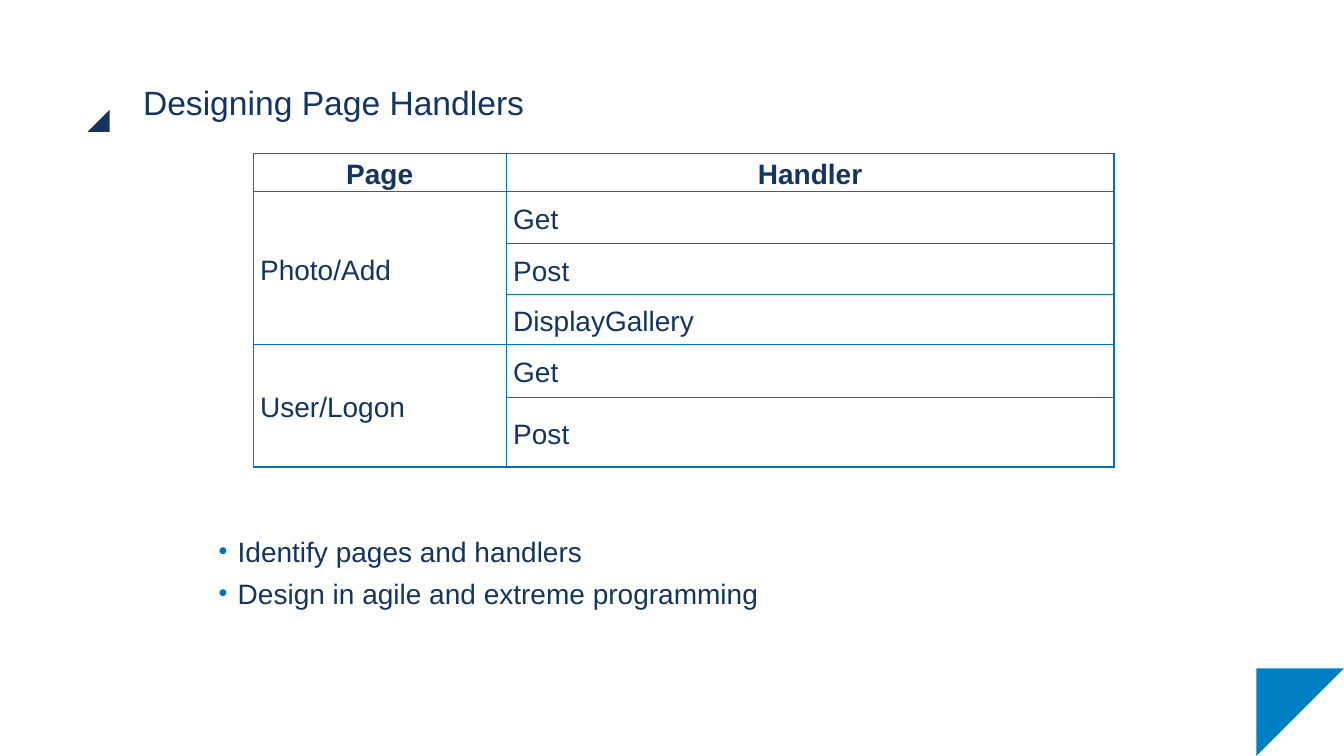
from lxml import etree
from pptx import Presentation
from pptx.dml.color import RGBColor
from pptx.enum.shapes import MSO_SHAPE
from pptx.enum.text import MSO_ANCHOR, PP_ALIGN
from pptx.oxml.ns import qn
from pptx.util import Pt

TRIANGLE = MSO_SHAPE.RIGHT_TRIANGLE
MIDDLE = MSO_ANCHOR.MIDDLE
CENTER, LEFT = PP_ALIGN.CENTER, PP_ALIGN.LEFT

NAVY = RGBColor(0x13, 0x35, 0x61)
BLUE = RGBColor(0x00, 0x70, 0xC0)
CORNER_BLUE = RGBColor(0x00, 0x7F, 0xC3)

# The slide is a grid of 48 columns by 27 rows of square units
COLUMNS, ROWS = 48, 27
UNIT = Pt(20)

HANDLERS = {
    "Photo/Add": ["Get", "Post", "DisplayGallery"],
    "User/Logon": ["Get", "Post"],
}
TABLE_COLUMNS = [9.04, 21.71]
TABLE_ROWS = [1.22, 1.84, 1.84, 1.76, 1.91, 2.48]
BULLETS = ["Identify pages and handlers", "Design in agile and extreme programming"]


def units(count):
    return round(count * UNIT)


class SlideBuilder:
    font = "Arial"
    body_size = 20
    title_size = 24

    def __init__(self, presentation):
        self.slide = presentation.slides.add_slide(presentation.slide_layouts[6])

    def triangle(self, left, top, side, rotation, color):
        shape = self.slide.shapes.add_shape(
            TRIANGLE, units(left), units(top), units(side), units(side))
        shape.rotation = rotation
        shape.shadow.inherit = False
        shape.fill.solid()
        shape.fill.fore_color.rgb = color
        shape.line.fill.background()

    def add_run(self, paragraph, text, size, bold=False):
        run = paragraph.add_run()
        run.text = text
        run.font.name = self.font
        run.font.size = Pt(size)
        run.font.bold = bold
        run.font.color.rgb = NAVY

    def text_frame(self, left, top, width, height):
        shape = self.slide.shapes.add_textbox(
            units(left), units(top), units(width), units(height))
        frame = shape.text_frame
        frame.word_wrap = True
        frame.margin_left = frame.margin_right = 0
        frame.margin_top = frame.margin_bottom = 0
        return frame

    def title(self, text, *box):
        paragraph = self.text_frame(*box).paragraphs[0]
        paragraph.line_spacing = 1.05
        self.add_run(paragraph, text, self.title_size)

    def bullets(self, lines, *box):
        frame = self.text_frame(*box)
        for index, line in enumerate(lines):
            paragraph = frame.add_paragraph() if index else frame.paragraphs[0]
            paragraph.space_before = Pt(6)
            self.add_run(paragraph, line, self.body_size)
            properties = paragraph._p.get_or_add_pPr()
            properties.set("marL", str(units(0.68)))
            properties.set("indent", str(-units(0.68)))
            color = etree.SubElement(properties, qn("a:buClr"))
            etree.SubElement(color, qn("a:srgbClr"), val=str(BLUE))
            etree.SubElement(properties, qn("a:buSzPct"), val="90000")
            etree.SubElement(properties, qn("a:buFont"), typeface=self.font)
            etree.SubElement(properties, qn("a:buChar"), char="•")

    def table(self, left, top, widths, heights):
        table = self.slide.shapes.add_table(
            len(heights), len(widths), units(left), units(top),
            units(sum(widths)), units(sum(heights))).table
        table.first_row = table.horz_banding = False
        for column, width in zip(table.columns, widths):
            column.width = units(width)
        for row, height in zip(table.rows, heights):
            row.height = units(height)
        for cell in table.iter_cells():
            self.style_cell(cell)
        return table

    def style_cell(self, cell):
        cell.vertical_anchor = MIDDLE
        cell.margin_left = cell.margin_right = units(0.25)
        cell.margin_top = cell.margin_bottom = 0
        cell.fill.background()
        properties = cell._tc.get_or_add_tcPr()
        for index, side in enumerate(("lnL", "lnR", "lnT", "lnB")):
            border = etree.Element(qn(f"a:{side}"), w=str(Pt(1)))
            fill = etree.SubElement(border, qn("a:solidFill"))
            etree.SubElement(fill, qn("a:srgbClr"), val=str(BLUE))
            properties.insert(index, border)

    def cell_text(self, cell, text, alignment=LEFT, bold=False):
        paragraph = cell.text_frame.paragraphs[0]
        paragraph.alignment = alignment
        paragraph.line_spacing = 1.15
        self.add_run(paragraph, text, self.body_size, bold)


def main():
    presentation = Presentation()
    presentation.slide_width = units(COLUMNS)
    presentation.slide_height = units(ROWS)
    builder = SlideBuilder(presentation)

    # Corner marks
    builder.triangle(3.13, 3.92, 0.79, 270, NAVY)
    builder.triangle(COLUMNS - 3.13, ROWS - 3.13, 3.13, 90, CORNER_BLUE)

    # Title and bullets
    builder.title("Designing Page Handlers", 5.11, 2.84, 38.84, 5.11)
    builder.bullets(BULLETS, 7.81, 19.08, 31.97, 5.18)

    # Table: each page spans the rows of its handlers
    table = builder.table(9.04, 5.47, TABLE_COLUMNS, TABLE_ROWS)
    for column, heading in enumerate(("Page", "Handler")):
        builder.cell_text(table.cell(0, column), heading, CENTER, bold=True)
    first = 1
    for page, handlers in HANDLERS.items():
        last = first + len(handlers) - 1
        table.cell(first, 0).merge(table.cell(last, 0))
        builder.cell_text(table.cell(first, 0), page)
        for row, handler in enumerate(handlers, first):
            builder.cell_text(table.cell(row, 1), handler)
        first = last + 1

    presentation.save("out.pptx")


if __name__ == "__main__":
    main()
